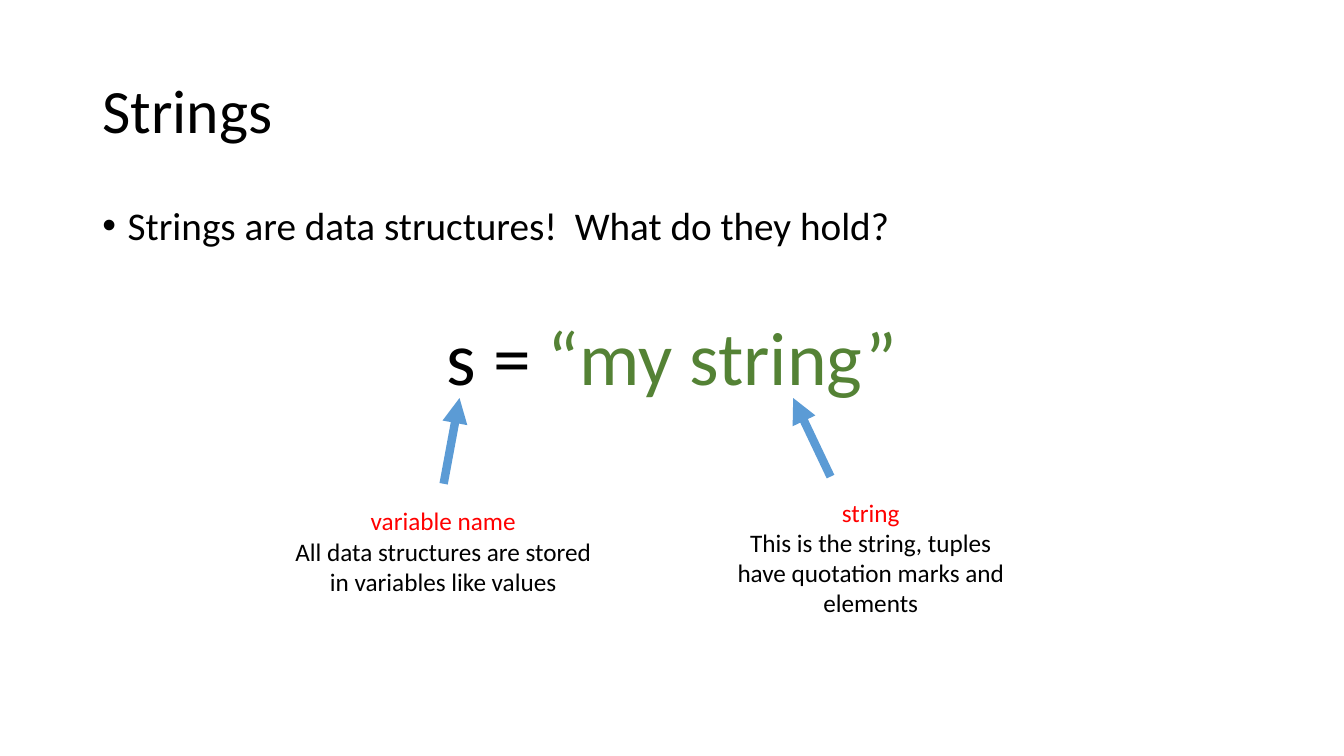
from dataclasses import dataclass

from lxml.etree import SubElement
from pptx import Presentation
from pptx.dml.color import RGBColor
from pptx.enum.shapes import MSO_CONNECTOR as Connector
from pptx.enum.text import MSO_ANCHOR as Anchor, MSO_AUTO_SIZE as AutoSize, PP_ALIGN as Align
from pptx.oxml.ns import qn
from pptx.util import Cm, Pt


@dataclass(frozen=True)
class Theme:
    font: str = "Calibri"
    ink: str = "000000"
    string: str = "548235"
    label: str = "FF0000"
    arrow: str = "5B9BD5"
    title_size: int = 44
    bullet_size: int = 28
    code_size: int = 54
    note_size: int = 18
    arrow_width: int = 6


THEME = Theme()


def add_text(paragraph, text, size, color=THEME.ink):
    run = paragraph.add_run()
    run.text = text
    run.font.name = THEME.font
    run.font.size = Pt(size)
    run.font.color.rgb = RGBColor.from_string(color)


def format_paragraph(paragraph, align=Align.LEFT, line_spacing=1.0, space_before=0):
    paragraph.alignment = align
    paragraph.line_spacing = line_spacing
    paragraph.space_before = Pt(space_before)


def add_bullet(paragraph, indent):
    properties = paragraph._p.get_or_add_pPr()
    properties.set("marL", str(indent))
    properties.set("indent", str(-indent))
    SubElement(properties, qn("a:buFont"), typeface="Arial")
    SubElement(properties, qn("a:buChar"), char="•")


def set_title(slide, text):
    title = slide.shapes.title
    title.left, title.top, title.width, title.height = Cm(2.33), Cm(1.01), Cm(29.21), Cm(3.68)
    frame = title.text_frame
    frame.auto_size = AutoSize.NONE
    frame.vertical_anchor = Anchor.MIDDLE
    format_paragraph(frame.paragraphs[0], line_spacing=0.9)
    add_text(frame.paragraphs[0], text, THEME.title_size)


def add_text_box(slide, left, top, width, height, auto_size=AutoSize.NONE):
    frame = slide.shapes.add_textbox(left, top, width, height).text_frame
    frame.word_wrap = True
    frame.auto_size = auto_size
    return frame


def add_body(slide, bullet, variable, value):
    frame = add_text_box(slide, Cm(2.33), Cm(5.08), Cm(29.21), Cm(12.09))
    question = frame.paragraphs[0]
    format_paragraph(question, line_spacing=0.9, space_before=10)
    add_bullet(question, Cm(0.64))
    add_text(question, bullet, THEME.bullet_size)
    code = frame.add_paragraph()
    format_paragraph(code, Align.CENTER, line_spacing=0.9, space_before=51)
    add_text(code, f"{variable} = ", THEME.code_size)
    add_text(code, value, THEME.code_size, color=THEME.string)


def add_note(slide, label, explanation, left, top, width, height):
    frame = add_text_box(slide, left, top, width, height, AutoSize.SHAPE_TO_FIT_TEXT)
    heading, detail = frame.paragraphs[0], frame.add_paragraph()
    for paragraph, text, color in ((heading, label, THEME.label), (detail, explanation, THEME.ink)):
        format_paragraph(paragraph, Align.CENTER)
        add_text(paragraph, text, THEME.note_size, color=color)


def add_arrow(slide, start, end):
    arrow = slide.shapes.add_connector(Connector.STRAIGHT, *start, *end)
    arrow.line.color.rgb = RGBColor.from_string(THEME.arrow)
    arrow.line.width = Pt(THEME.arrow_width)
    SubElement(arrow.line._get_or_add_ln(), qn("a:tailEnd"), type="triangle")
    SubElement(arrow._element.spPr, qn("a:effectLst"))


def main():
    presentation = Presentation()
    presentation.slide_width, presentation.slide_height = Cm(33.87), Cm(19.05)
    slide = presentation.slides.add_slide(presentation.slide_layouts[5])

    set_title(slide, "Strings")
    add_body(slide, "Strings are data structures!  What do they hold?", "s", "“my string”")

    add_arrow(slide, (Cm(11.18), Cm(12.19)), (Cm(11.58), Cm(10.03)))
    add_note(slide, "variable name", "All data structures are stored in variables like values",
             Cm(6.93), Cm(12.62), Cm(8.48), Cm(2.57))

    add_arrow(slide, (Cm(20.93), Cm(12.01)), (Cm(19.99), Cm(10.03)))
    add_note(slide, "string", "This is the string, tuples have quotation marks and elements",
             Cm(18.06), Cm(12.4), Cm(7.77), Cm(3.33))

    presentation.save("out.pptx")


main()
